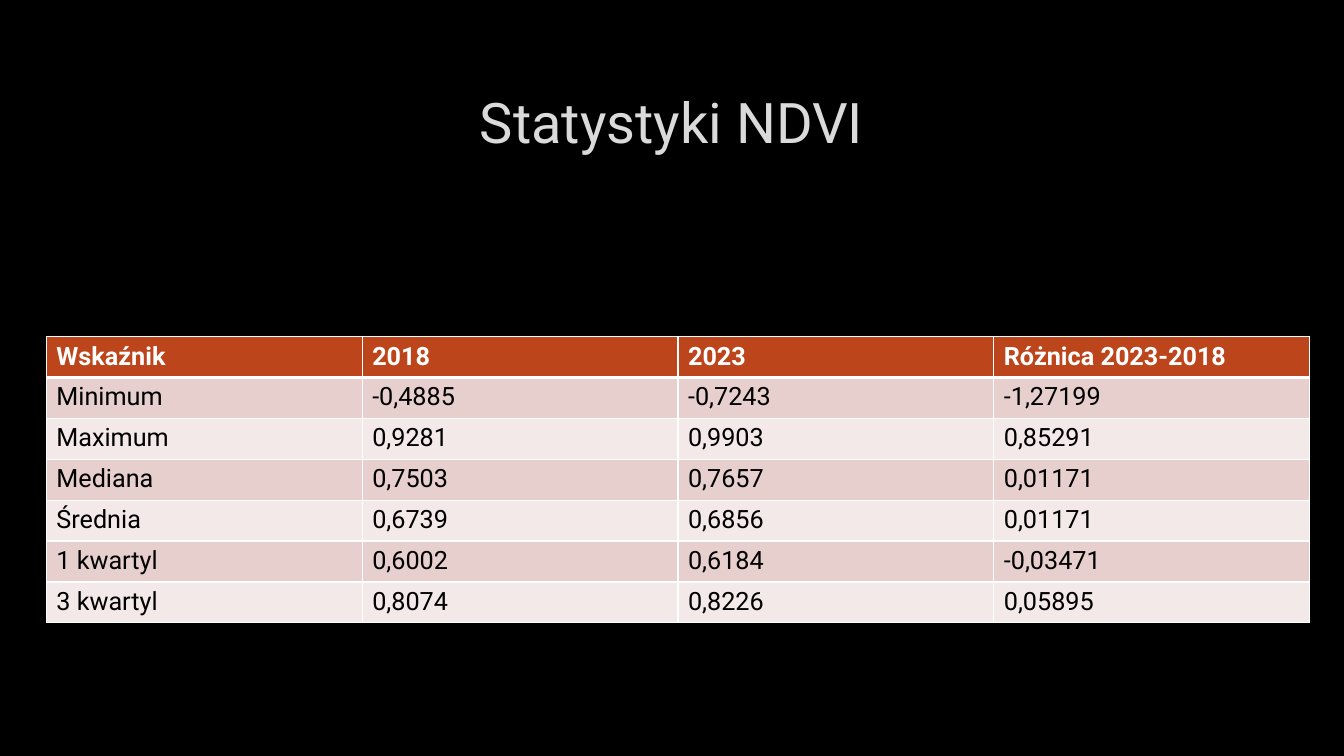
"""Build the NDVI statistics slide."""
from dataclasses import dataclass
from typing import Any

from lxml import etree
from pptx import Presentation
from pptx import util as u
from pptx.dml.color import RGBColor
from pptx.enum import text
from pptx.oxml import parse_xml
from pptx.oxml.ns import nsdecls, qn

BLACK = RGBColor(0x00, 0x00, 0x00)
WHITE = RGBColor(0xFF, 0xFF, 0xFF)
TITLE_GREY = RGBColor(0xDA, 0xDA, 0xDA)
OUTLINE_GREY = RGBColor(0x40, 0x40, 0x40)
RUST = RGBColor(0xBC, 0x45, 0x1B)
BAND_DARK = RGBColor(0xE7, 0xCF, 0xCD)
BAND_LIGHT = RGBColor(0xF3, 0xE9, 0xE8)
FONT = "Roboto"


@dataclass(frozen=True)
class RowStyle:
    fill: RGBColor
    color: RGBColor
    bold: bool
    top: float
    bottom: float


HEADER = RowStyle(RUST, WHITE, True, 1, 3)
FIRST = RowStyle(BAND_DARK, BLACK, False, 3, 1)
ODD = RowStyle(BAND_DARK, BLACK, False, 1, 1)
EVEN = RowStyle(BAND_LIGHT, BLACK, False, 1, 1)
STYLES = [HEADER, FIRST, EVEN, ODD, EVEN, ODD, EVEN]

STATISTICS = [
    ("Wskaźnik", "2018", "2023", "Różnica 2023-2018"),
    ("Minimum", "-0,4885", "-0,7243", "-1,27199"),
    ("Maximum", "0,9281", "0,9903", "0,85291"),
    ("Mediana", "0,7503", "0,7657", "0,01171"),
    ("Średnia", "0,6739", "0,6856", "0,01171"),
    ("1 kwartyl", "0,6002", "0,6184", "-0,03471"),
    ("3 kwartyl", "0,8074", "0,8226", "0,05895"),
]


def apply(target: Any, values: dict[str, Any]) -> None:
    for name, value in values.items():
        setattr(target, name, value)


def line_xml(tag: str, color: RGBColor, width: float, alpha: int = 100) -> etree.ElementBase:
    return parse_xml(
        f'<a:{tag} {nsdecls("a")} w="{u.Pt(width)}"><a:solidFill><a:srgbClr val="{color}">'
        f'<a:alpha val="{alpha * 1000}"/></a:srgbClr></a:solidFill>'
        f'<a:prstDash val="solid"/></a:{tag}>'
    )


def add_run(tf: Any, content: str, size: float, color: RGBColor, bold: bool) -> Any:
    r = tf.paragraphs[0].add_run()
    r.text = content
    apply(r.font, {"name": FONT, "size": u.Pt(size), "bold": bold})
    r.font.color.rgb = color
    return r


def add_title(s: Any, content: str) -> None:
    sp = s.shapes.title
    apply(sp, {"left": u.Inches(1), "top": u.Inches(0.67),
               "width": u.Inches(11.32), "height": u.Inches(1.06)})
    tf = sp.text_frame
    apply(tf, {"word_wrap": True, "auto_size": text.MSO_AUTO_SIZE.NONE,
               "vertical_anchor": text.MSO_ANCHOR.MIDDLE})
    tf.paragraphs[0].alignment = text.PP_ALIGN.CENTER
    r = add_run(tf, content, 40, TITLE_GREY, False)
    r.font._element.insert(0, line_xml("ln", OUTLINE_GREY, 0.75, 10))


def format_cell(cell: Any, content: str, style: RowStyle) -> None:
    add_run(cell.text_frame, content, 18, style.color, style.bold)
    tc_pr = cell._tc.get_or_add_tcPr()
    borders = {"lnL": 1, "lnR": 1, "lnT": style.top, "lnB": style.bottom}
    for tag, width in borders.items():
        tc_pr.append(line_xml(tag, WHITE, width))
    cell.fill.solid()
    cell.fill.fore_color.rgb = style.fill


def add_statistics(s: Any) -> None:
    table = s.shapes.add_table(
        len(STATISTICS), len(STATISTICS[0]),
        u.Inches(0.46), u.Inches(3.34), u.Inches(12.53), u.Inches(2.84),
    ).table
    for row, values, style in zip(table.rows, STATISTICS, STYLES):
        for cell, content in zip(row.cells, values):
            format_cell(cell, content, style)


def main() -> None:
    prs = Presentation()
    apply(prs, {"slide_width": u.Inches(13.33), "slide_height": u.Inches(7.5)})
    s = prs.slides.add_slide(prs.slide_layouts.get_by_name("Title Only"))
    s.background.fill.solid()
    s.background.fill.fore_color.rgb = BLACK
    add_title(s, "Statystyki NDVI")
    add_statistics(s)
    prs.save("out.pptx")


if __name__ == "__main__":
    main()
